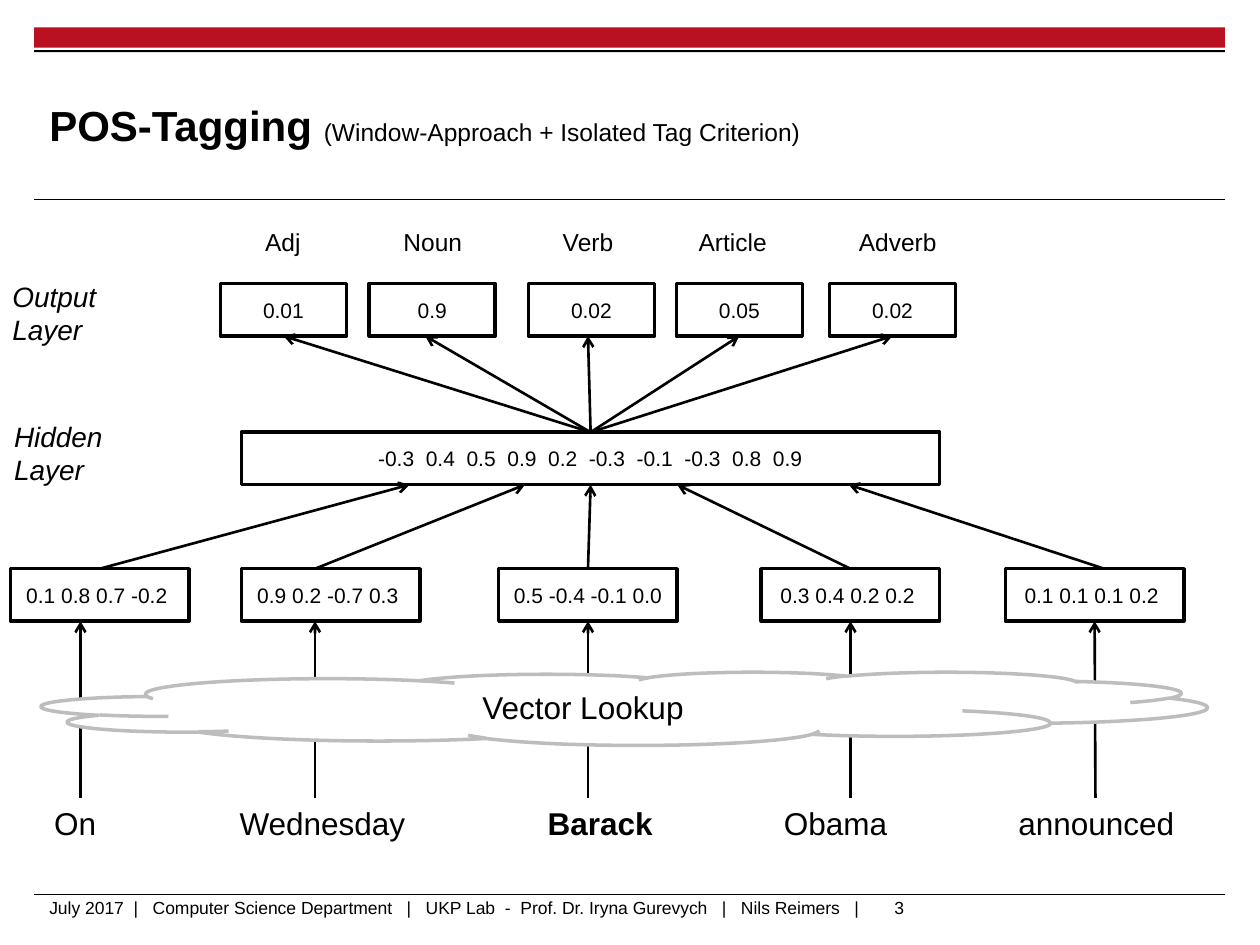
from lxml.etree import SubElement
from pptx import Presentation
from pptx.dml.color import RGBColor
from pptx.enum.shapes import MSO_CONNECTOR as Connector, MSO_SHAPE as Shape
from pptx.enum.text import MSO_ANCHOR as Anchor, PP_ALIGN as Align
from pptx.oxml.ns import qn
from pptx.util import Pt

# Content
TITLE = ("POS-Tagging ", "(Window-Approach + Isolated Tag Criterion)")
FOOTER = ("July 2017  |   Computer Science Department   |   UKP Lab  -  "
          "Prof. Dr. Iryna Gurevych   |   Nils Reimers   |")
PAGE = "3"
# tag, score, box left, label centre, arrow tip x
OUTPUTS = [
    ("Adj", "0.01", 126, 161.6, 162),
    ("Noun", "0.9", 211, 247.3, 243),
    ("Verb", "0.02", 302, 336, 336),
    ("Article", "0.05", 386.5, 418.7, 422),
    ("Adverb", "0.02", 474, 513, 510),
]
HIDDEN = "-0.3  0.4  0.5  0.9  0.2  -0.3  -0.1  -0.3  0.8  0.9"
# word, vector, box left, word arrow x, start and tip x of the arrow to the hidden layer
INPUTS = [
    ("On", "0.1 0.8 0.7 -0.2 ", 6, 46, 57, 234),
    ("Wednesday", "0.9 0.2 -0.7 0.3 ", 138, 180, 180, 300),
    ("Barack", "0.5 -0.4 -0.1 0.0 ", 285, 336, 336, 337.5),
    ("Obama", "0.3 0.4 0.2 0.2 ", 435, 486, 485, 387),
    ("announced", "0.1 0.1 0.1 0.2 ", 574.5, 626, 631, 485),
]
WORD_TABS = [106, 282, 417, 551]
LAYERS = [("Output Layer", 0, 156, 90), ("Hidden\nLayer", 1, 236, 125)]

COLORS = {"black": "000000", "white": "FFFFFF", "red": "B91022", "gray": "BDBDBD"}
FONT = "Arial"
BOX_HEIGHT = 30
OUTPUT_TOP, HIDDEN_TOP, VECTOR_TOP, WORD_TOP = 162, 247, 325, 456
OUTPUT_WIDTH, VECTOR_WIDTH, LABEL_WIDTH = 72, 102, 90
TOP, BOTTOM = 0, 2

presentation = Presentation()
presentation.slide_width, presentation.slide_height = Pt(720), Pt(540)
slide = presentation.slides.add_slide(presentation.slide_layouts[6])


def color(name):
    return RGBColor.from_string(COLORS[name])


def style(text_frame, size, align=Align.LEFT, bold=False, italic=False):
    for paragraph in text_frame.paragraphs:
        paragraph.alignment = align
        for run in paragraph.runs:
            run.font.name, run.font.size = FONT, Pt(size)
            run.font.bold, run.font.italic = bold, italic
            run.font.color.rgb = color("black")


def add_text(text, left, top, width, height, size, inset=True, wrap=True, **look):
    text_frame = slide.shapes.add_textbox(Pt(left), Pt(top), Pt(width), Pt(height)).text_frame
    text_frame.word_wrap = wrap
    if not inset:
        text_frame.margin_left = text_frame.margin_right = 0
        text_frame.margin_top = text_frame.margin_bottom = 0
    text_frame.text = text
    style(text_frame, size, **look)
    return text_frame


def add_shape(kind, left, top, width, height, fill=None, line=None, text="", size=12):
    shape = slide.shapes.add_shape(kind, Pt(left), Pt(top), Pt(width), Pt(height))
    shape.shadow.inherit = False
    if fill:
        shape.fill.solid()
        shape.fill.fore_color.rgb = color(fill)
    else:
        shape.fill.background()
    if line:
        shape.line.color.rgb, shape.line.width = color(line), Pt(2)
    else:
        shape.line.fill.background()
    if text:
        shape.text_frame.text = text
        shape.text_frame.word_wrap = True
        shape.text_frame.vertical_anchor = Anchor.MIDDLE
        style(shape.text_frame, size, Align.CENTER)
    return shape


def add_box(text, left, top, width):
    return add_shape(Shape.RECTANGLE, left, top, width, BOX_HEIGHT, line="black", text=text)


def add_line(x1, y1, x2, y2, width):
    line = slide.shapes.add_connector(Connector.STRAIGHT, Pt(x1), Pt(y1), Pt(x2), Pt(y2))
    line.line.color.rgb, line.line.width = color("black"), Pt(width)
    SubElement(line._element.spPr, qn("a:effectLst"))
    return line


def is_middle(x, box):
    return abs(Pt(x) - box.left - box.width / 2) < Pt(2)


def add_arrow(x1, y1, x2, y2, source=None, target=None):
    """Upward arrow, joined to a box wherever it meets the middle of its side."""
    arrow = add_line(x1, y1, x2, y2, 1.5)
    SubElement(arrow.line._get_or_add_ln(), qn("a:tailEnd"), type="arrow")
    if source and is_middle(x1, source):
        arrow.begin_connect(source, TOP)
    if target and is_middle(x2, target):
        arrow.end_connect(target, BOTTOM)


# Page frame
add_shape(Shape.RECTANGLE, 19.5, 15.7, 680.5, 11.5, fill="red")
add_shape(Shape.RECTANGLE, 19.5, 28.6, 680.5, 1.2, fill="black")
for rule_y in (114.2, 511):
    add_line(19.7, rule_y, 700, rule_y, 0.6)
add_text(PAGE, 504, 509, 34.5, 19.4, 10, wrap=False)
add_text(FOOTER, 28.2, 512.5, 626, 18, 10, inset=False)

# Title
title = add_text(TITLE[0], 28.2, 38.2, 564.5, 66.2, 24, inset=False)
title.vertical_anchor = Anchor.MIDDLE
title.paragraphs[0].add_run().text = TITLE[1]
style(title, 14)
heading = title.paragraphs[0].runs[0].font
heading.size, heading.bold = Pt(24), True

# Hidden layer and layer names
hidden = add_box(HIDDEN, 138, HIDDEN_TOP, 399)
hidden_middle = 138 + 399 / 2
for name, left, top, width in LAYERS:
    add_text(name, left, top, width, 46, 16, italic=True)

# Output layer
for tag, score, left, label_middle, tip in OUTPUTS:
    add_text(tag, label_middle - LABEL_WIDTH / 2, 126, LABEL_WIDTH, 24.2, 14, align=Align.CENTER)
    box = add_box(score, left, OUTPUT_TOP, OUTPUT_WIDTH)
    add_arrow(hidden_middle, HIDDEN_TOP, tip, OUTPUT_TOP + BOX_HEIGHT, hidden, box)

# Word vectors
for word, vector, left, word_x, start, tip in INPUTS:
    box = add_box(vector, left, VECTOR_TOP, VECTOR_WIDTH)
    add_arrow(word_x, WORD_TOP, word_x, VECTOR_TOP + BOX_HEIGHT, target=box)
    add_arrow(start, VECTOR_TOP, tip, HIDDEN_TOP + BOX_HEIGHT, box, hidden)

# Lookup cloud over the word arrows
add_shape(Shape.CLOUD, 23.8, 384, 666, 41.8, "white", "gray", "Vector Lookup", 18)

# Words on tab stops, the centre word in bold
words = add_text("", 23.8, WORD_TOP, 688, 29, 18)
sentence = words.paragraphs[0]
tab_list = SubElement(sentence._p.get_or_add_pPr(), qn("a:tabLst"))
for stop in WORD_TABS:
    SubElement(tab_list, qn("a:tab"), pos=str(Pt(stop)), algn="l")
names = [entry[0] for entry in INPUTS]
for part in ("\t".join(names[:2]) + "\t", names[2], "\t" + "\t".join(names[3:])):
    sentence.add_run().text = part
style(words, 18)
sentence.runs[1].font.bold = True

presentation.save("out.pptx")
